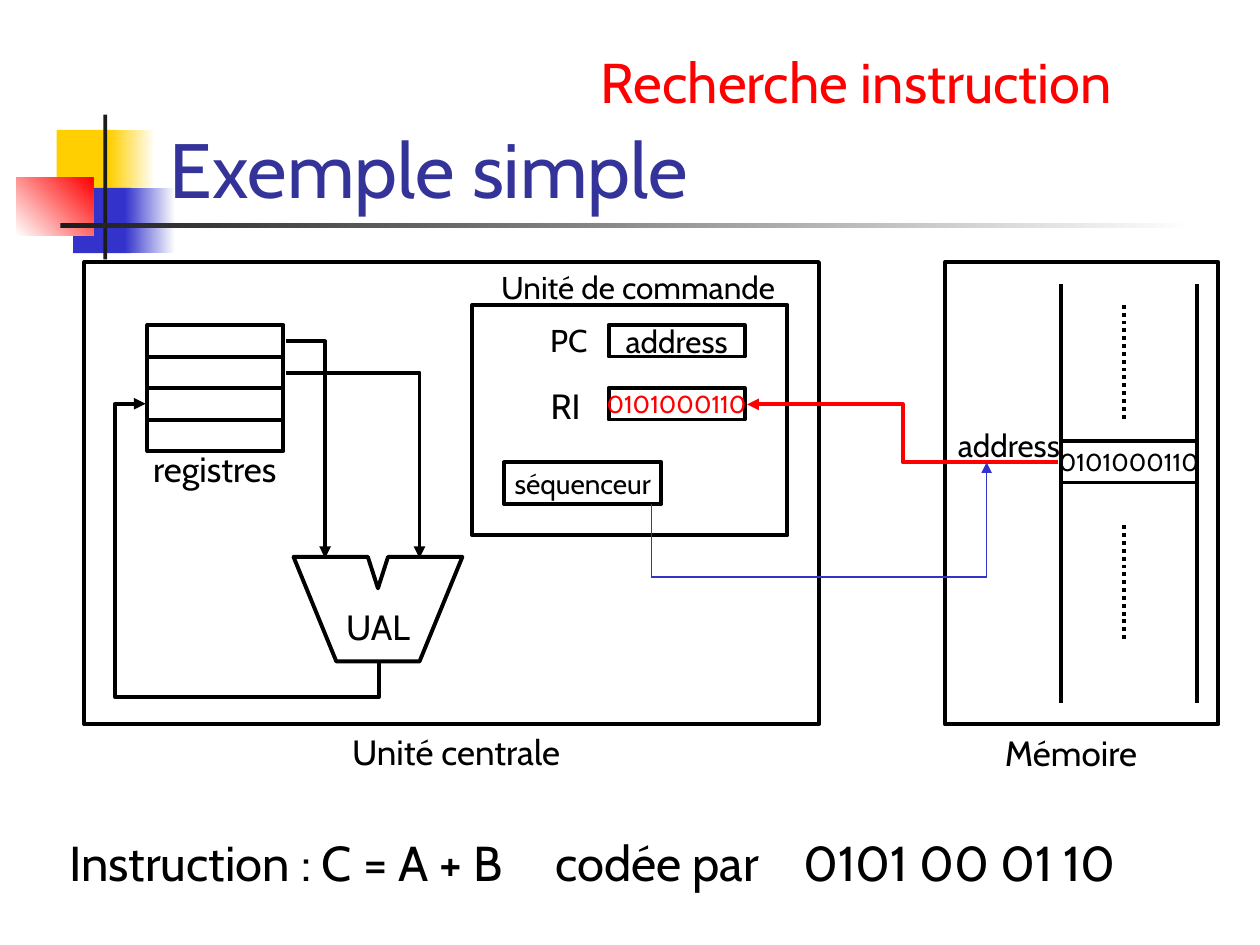
from lxml import etree
from pptx import Presentation
from pptx.dml.color import RGBColor
from pptx.enum.dml import MSO_LINE as Dash
from pptx.enum.shapes import MSO_CONNECTOR as Link, MSO_SHAPE as Shape
from pptx.enum.text import MSO_ANCHOR as Anchor, PP_ALIGN as Align
from pptx.oxml.ns import qn
from pptx.util import Inches, Pt

BLACK = RGBColor(0x00, 0x00, 0x00)
WHITE = RGBColor(0xFF, 0xFF, 0xFF)
RED = RGBColor(0xFF, 0x00, 0x00)
BLUE = RGBColor(0x33, 0x33, 0xCC)
NAVY = RGBColor(0x33, 0x33, 0x99)
YELLOW = RGBColor(0xFF, 0xCF, 0x01)
CHARCOAL = RGBColor(0x1C, 0x1C, 0x1C)
FONT = "Cabin"


def write(frame, text, size=20, color=BLACK, align=Align.CENTER, anchor=Anchor.TOP, tabs=()):
    frame.word_wrap = align != Align.CENTER
    frame.vertical_anchor = anchor
    para = frame.paragraphs[0]
    para.alignment = align
    if tabs:
        stops = etree.SubElement(para._p.get_or_add_pPr(), qn("a:tabLst"))
        for position in tabs:
            etree.SubElement(stops, qn("a:tab"), pos=str(Inches(position)), algn="l")
    span = para.add_run()
    span.text = text
    span.font.name = FONT
    span.font.size = Pt(size)
    span.font.color.rgb = color


class Diagram:
    def __init__(self, page, stroke=2.25):
        self.page = page
        self.stroke = stroke

    def block(self, left, top, width, height, colors, angle=0):
        box = self.page.shapes.add_shape(
            Shape.RECTANGLE, Inches(left), Inches(top), Inches(width), Inches(height))
        box.shadow.inherit = False
        box.line.fill.background()
        if len(colors) == 1:
            box.fill.solid()
            box.fill.fore_color.rgb = colors[0]
            return
        box.fill.gradient()
        box.fill.gradient_angle = angle
        for stop, color in zip(box.fill.gradient_stops, colors):
            stop.color.rgb = color

    def outline(self, shape):
        shape.shadow.inherit = False
        shape.fill.background()
        shape.line.color.rgb = BLACK
        shape.line.width = Pt(self.stroke)

    def frame(self, left, top, width, height, text=None, **style):
        box = self.page.shapes.add_shape(
            Shape.RECTANGLE, Inches(left), Inches(top), Inches(width), Inches(height))
        self.outline(box)
        if text:
            write(box.text_frame, text, anchor=Anchor.MIDDLE, **style)

    def polygon(self, points):
        corners = [(Inches(x), Inches(y)) for x, y in points]
        builder = self.page.shapes.build_freeform(*corners[0])
        builder.add_line_segments(corners[1:], close=True)
        self.outline(builder.convert_to_shape())

    def label(self, left, top, width, height, text, **style):
        box = self.page.shapes.add_textbox(
            Inches(left), Inches(top), Inches(width), Inches(height))
        write(box.text_frame, text, **style)

    def line(self, start, end, color=BLACK, width=None, arrow=False, dash=None, kind=Link.STRAIGHT):
        link = self.page.shapes.add_connector(kind, *(Inches(value) for value in start + end))
        link.line.color.rgb = color
        link.line.width = Pt(width or self.stroke)
        if dash:
            link.line.dash_style = dash
        if arrow:
            etree.SubElement(link.line._get_or_add_ln(), qn("a:tailEnd"), type="triangle")
        etree.SubElement(link._element.spPr, qn("a:effectLst"))
        return link

    def elbow(self, start, end, color=BLACK, bends=(), turn=0):
        link = self.line(start, end, color, arrow=True, kind=Link.ELBOW)
        properties = link._element.spPr
        if bends:
            geometry = properties.find(qn("a:prstGeom"))
            geometry.set("prst", f"bentConnector{len(bends) + 2}")
            guides = geometry.find(qn("a:avLst"))
            for number, share in enumerate(bends, 1):
                etree.SubElement(guides, qn("a:gd"), name=f"adj{number}",
                                 fmla=f"val {round(share * 100000)}")
        if turn:
            properties.find(qn("a:xfrm")).set("rot", str(turn * 60000))


def draw_theme(diagram):
    diagram.block(0.45, 1.03, 0.48, 0.52, [YELLOW])
    diagram.block(0.87, 1.03, 0.36, 0.52, [YELLOW, WHITE])
    diagram.block(0.58, 1.49, 0.46, 0.52, [BLUE])
    diagram.block(0.99, 1.49, 0.4, 0.52, [BLUE, WHITE])
    diagram.block(0.13, 1.41, 0.61, 0.46, [WHITE, RED], angle=45)
    diagram.block(0.82, 0.91, 0.03, 1.15, [CHARCOAL])
    diagram.block(0.48, 1.77, 9, 0.04, [CHARCOAL, WHITE])
    diagram.label(1.25, 0.5, 8.52, 1.25, "Exemple simple", size=44, color=NAVY,
                  align=Align.LEFT, anchor=Anchor.BOTTOM)
    diagram.label(4.67, 0.33, 4.76, 0.64, "Recherche instruction", size=32, color=RED,
                  align=Align.LEFT)


def draw_processor(diagram):
    diagram.frame(0.67, 2.08, 5.83, 3.67)
    diagram.label(2.6, 5.75, 2.04, 0.44, "Unité centrale")
    diagram.label(1.03, 3.5, 1.35, 0.44, "registres")
    for row in range(4):
        diagram.frame(1.17, 2.58 + row * 0.25, 1.08, 0.25)
    diagram.polygon([(2.33, 4.42), (2.92, 4.42), (3, 4.67), (3.08, 4.42),
                     (3.67, 4.42), (3.33, 5.25), (2.67, 5.25)])
    diagram.label(2.64, 4.76, 0.72, 0.44, "UAL")
    diagram.elbow((2.27, 2.71), (2.58, 4.43), bends=(1, 0.57))
    diagram.elbow((2.27, 2.96), (3.33, 4.43), bends=(1, 0.58))
    diagram.elbow((1.05, 5.16), (3.11, 3.31), bends=(-0.13, 1.13), turn=270)


def draw_control_unit(diagram):
    diagram.frame(3.75, 2.42, 2.5, 1.83)
    diagram.label(3.67, 2.08, 2.58, 0.4, "Unité de commande", size=18, align=Align.RIGHT)
    diagram.label(4.26, 2.5, 0.51, 0.4, "PC", size=18)
    diagram.frame(4.83, 2.58, 1.08, 0.25, "address", size=18)
    diagram.label(4.26, 3, 0.46, 0.44, "RI")
    diagram.frame(4.83, 3.08, 1.08, 0.25, "0101000110", size=14, color=RED)
    diagram.frame(4, 3.67, 1.25, 0.33, "séquenceur", size=16)


def draw_memory(diagram):
    diagram.frame(7.5, 2.08, 2.17, 3.67)
    diagram.label(7.81, 5.76, 1.38, 0.44, "Mémoire")
    diagram.frame(8.42, 3.5, 1.08, 0.33, "0101000110", size=14)
    for x in (8.42, 9.5):
        diagram.line((x, 2.25), (x, 5.58))
    for top in (2.42, 4.17):
        diagram.line((8.92, top), (8.92, top + 0.92), dash=Dash.ROUND_DOT)
    diagram.label(7.38, 3.33, 1.13, 0.4, "address", size=18, align=Align.RIGHT)


def draw_fetch(diagram):
    diagram.elbow((8.4, 3.67), (5.93, 3.21), color=RED)
    route = [(5.17, 4), (5.17, 4.58), (7.83, 4.58), (7.83, 3.67)]
    for start, end in zip(route, route[1:]):
        diagram.line(start, end, color=BLUE, width=1, arrow=end == route[-1])
    diagram.label(0.45, 6.56, 9.35, 0.57,
                  "Instruction : C = A + B\tcodée par\t0101 00 01 10",
                  size=28, align=Align.LEFT, tabs=(3.86, 5.83))


def main():
    deck = Presentation()
    deck.slide_width, deck.slide_height = Inches(10), Inches(7.5)
    diagram = Diagram(deck.slides.add_slide(deck.slide_layouts[6]))
    for draw in (draw_theme, draw_processor, draw_control_unit, draw_memory, draw_fetch):
        draw(diagram)
    deck.save("out.pptx")


if __name__ == "__main__":
    main()
